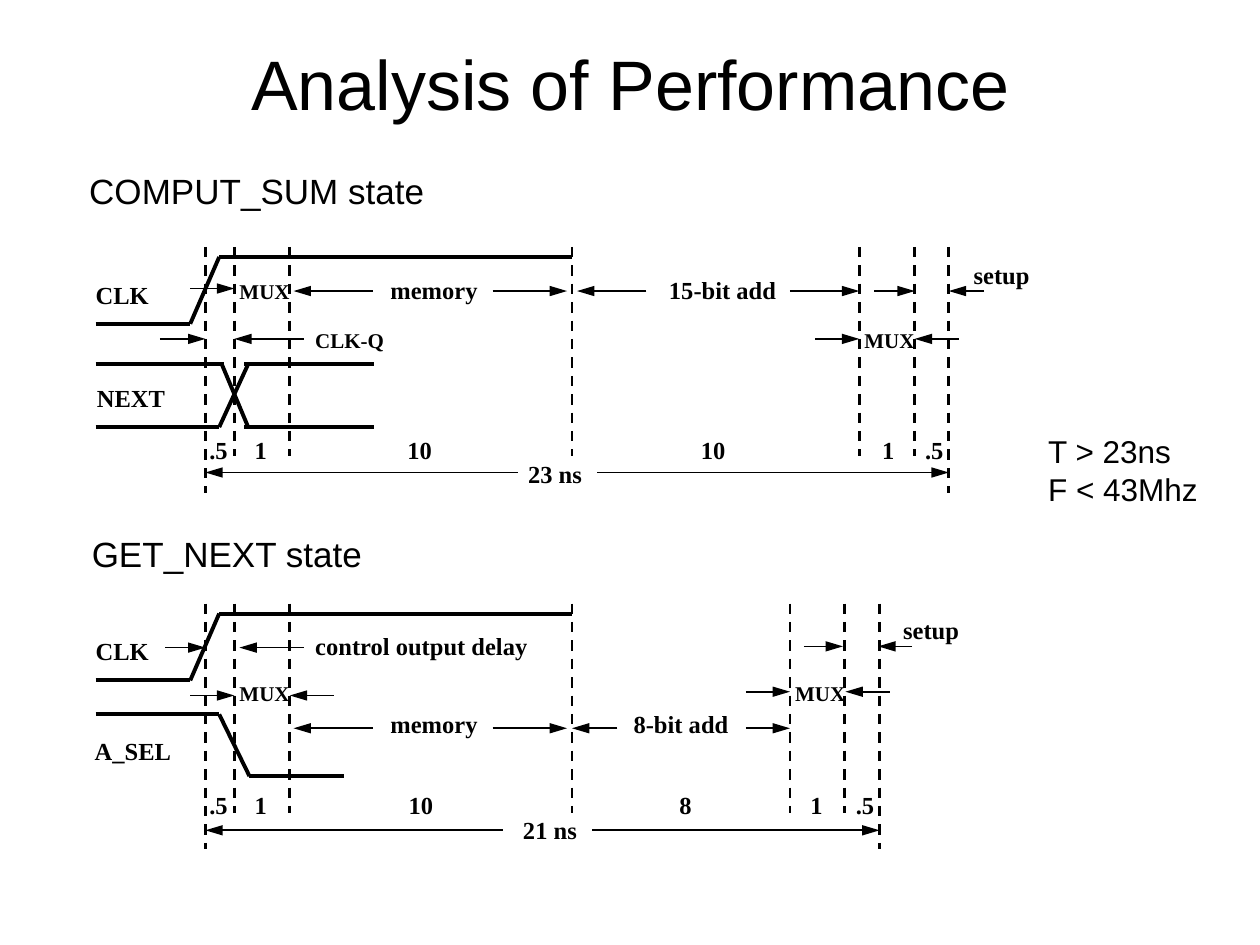
from lxml import etree
from pptx import Presentation
from pptx.dml.color import RGBColor
from pptx.enum.dml import MSO_LINE
from pptx.enum.shapes import MSO_CONNECTOR
from pptx.enum.text import MSO_ANCHOR, MSO_AUTO_SIZE, PP_ALIGN
from pptx.oxml.ns import qn
from pptx.util import Inches, Pt

DASH, STRAIGHT = MSO_LINE.DASH, MSO_CONNECTOR.STRAIGHT
MIDDLE, NONE = MSO_ANCHOR.MIDDLE, MSO_AUTO_SIZE.NONE
LEFT, CENTER = PP_ALIGN.LEFT, PP_ALIGN.CENTER
BLACK = RGBColor(0, 0, 0)
SANS, SERIF = "Arial", "Times New Roman"
WIDE, HIGH = 10, 7.5

TITLE = "Analysis of Performance"
NOTES = [
    ("COMPUT_SUM state", 20, (0.61, 1.3, 2.86, 0.44)),
    ("GET_NEXT state", 20, (0.63, 4.18, 2.35, 0.44)),
    ("T > 23ns\nF < 43Mhz", 18, (8.22, 3.38, 1.39, 0.7)),
]

# Rows are measured down from the top of each panel.
CLOCK = [(0.76, 0.61), (1.51, 0.61), (1.74, 0.08), (4.54, 0.08)]
EARLY = [1.63, 1.86, 2.3, 4.54]
SHORT, LONG = 1.66, 1.95
PANELS = [
    {
        "top": 1.96,
        "ticks": EARLY + [6.82, 7.26, 7.53],
        "waves": [
            CLOCK,
            [(0.76, 0.93), (1.78, 0.93)],
            [(0.76, 1.43), (1.74, 1.43), (1.97, 0.93)],
            [(1.76, 0.93), (1.97, 1.43)],
            [(1.94, 0.93), (2.97, 0.93)],
            [(1.94, 1.43), (2.97, 1.43)],
        ],
        "arrows": {
            0.33: [(1.51, 1.86)],
            0.35: [(2.96, 2.33), (3.91, 4.5), (5.13, 4.58), (6.27, 6.82),
                   (6.94, 7.26), (7.81, 7.53)],
            0.73: [(1.27, 1.63), (2.41, 1.86), (6.47, 6.82), (7.61, 7.26)],
            1.79: [(4.11, 1.63), (4.74, 7.53)],
        },
        "large": {
            0.1: [("setup", 7.73, 0.44)],
            0.22: [("memory", 3.1, 0.69), ("15-bit add", 5.31, 0.85)],
            0.26: [("CLK", 0.76, 0.42)],
            1.08: [("NEXT", 0.77, 0.54)],
            1.49: [(".5", 1.66, 0.15), ("1", 2.02, 0.1), ("10", 3.23, 0.2),
                   ("10", 5.56, 0.2), ("1", 7, 0.1), (".5", 7.34, 0.15)],
            1.68: [("23 ns", 4.19, 0.43)],
        },
        "small": {
            0.25: [("MUX", 1.9, 0.4)],
            0.64: [("CLK-Q", 2.5, 0.55), ("MUX", 6.86, 0.4)],
        },
    },
    {
        "top": 4.79,
        "ticks": EARLY + [6.27, 6.7, 6.98],
        "waves": [
            CLOCK,
            [(0.76, 0.88), (1.74, 0.88), (1.98, 1.37), (2.73, 1.37)],
        ],
        "arrows": {
            0.34: [(6.38, 6.69), (7.24, 6.97)],
            0.35: [(1.31, 1.63), (2.41, 1.9)],
            0.7: [(5.92, 6.27), (7.06, 6.71)],
            0.73: [(1.51, 1.86), (2.65, 2.3)],
            0.99: [(2.96, 2.33), (3.91, 4.5), (4.9, 4.54), (5.92, 6.27)],
            1.8: [(3.99, 1.63), (4.7, 6.98)],
        },
        "large": {
            0.09: [("setup", 7.17, 0.44)],
            0.22: [("control output delay", 2.5, 1.69)],
            0.26: [("CLK", 0.76, 0.42)],
            0.84: [("memory", 3.1, 0.69), ("8-bit add", 5.03, 0.75)],
            1.05: [("A_SEL", 0.75, 0.61)],
            1.48: [(".5", 1.66, 0.15), ("1", 2.02, 0.1), ("10", 3.24, 0.2),
                   ("8", 5.39, 0.1), ("1", 6.43, 0.1), (".5", 6.79, 0.15)],
            1.68: [("21 ns", 4.15, 0.43)],
        },
        "small": {0.61: [("MUX", 1.9, 0.4), ("MUX", 6.31, 0.4)]},
    },
]


def write(slide, text, box, size, face=SERIF, bold=True, align=CENTER, pad=(0, 0), shape=None):
    """Put formatted text in a new box or in the given shape."""
    area = [Inches(n) for n in box]
    if shape is None:
        shape = slide.shapes.add_textbox(*area)
    shape.left, shape.top, shape.width, shape.height = area
    frame = shape.text_frame
    frame.text = text
    frame.auto_size = NONE
    frame.margin_left = frame.margin_right = Inches(pad[0])
    frame.margin_top = frame.margin_bottom = Inches(pad[1])
    for para in frame.paragraphs:
        para.alignment = align
        font = para.font
        font.name, font.size, font.bold = face, Pt(size), bold
        font.color.rgb = BLACK
    return frame


def draw(slide, start, end, width, dash=None, head=False):
    """Draw a straight line, with an arrowhead at its end if asked."""
    link = slide.shapes.add_connector(STRAIGHT, *[Inches(n) for n in start + end])
    link.line.color.rgb = BLACK
    link.line.width = Pt(width)
    if dash:
        link.line.dash_style = dash
    props = link._element.spPr
    if head:
        etree.SubElement(props.find(qn("a:ln")), qn("a:tailEnd"),
                         type="triangle", w="med", len="lg")
    etree.SubElement(props, qn("a:effectLst"))


def plot(slide, panel):
    """Draw one timing panel."""
    top, ticks = panel["top"], panel["ticks"]
    for wave in panel["waves"]:
        for (left, high), (right, low) in zip(wave, wave[1:]):
            draw(slide, (left, top + high), (right, top + low), 2.25)
    for tick in ticks:
        drop = LONG if tick in (ticks[0], ticks[-1]) else SHORT
        draw(slide, (tick, top), (tick, top + drop), 1.5, dash=DASH)
    for row, spans in panel["arrows"].items():
        for start, end in spans:
            draw(slide, (start, top + row), (end, top + row), 1, head=True)
    for kind, size in (("large", 14), ("small", 12)):
        for row, labels in panel[kind].items():
            for text, left, width in labels:
                frame = write(slide, text, (left, top + row, width, size / 60), size)
                frame.word_wrap = False


def main():
    """Build and save the slide."""
    deck = Presentation()
    deck.slide_width, deck.slide_height = Inches(WIDE), Inches(HIGH)
    slide = deck.slides.add_slide(deck.slide_layouts[5])
    frame = write(slide, TITLE, (0.5, 0.17, 9, 0.97), 40, face=SANS, bold=False,
                  pad=(0.1, 0.05), shape=slide.shapes.title)
    frame.vertical_anchor = MIDDLE
    for panel in PANELS:
        plot(slide, panel)
    for text, size, box in NOTES:
        frame = write(slide, text, box, size, face=SANS, bold=False,
                      align=LEFT, pad=(0.1, 0.05))
        frame.word_wrap = False
    deck.save("out.pptx")


if __name__ == "__main__":
    main()
